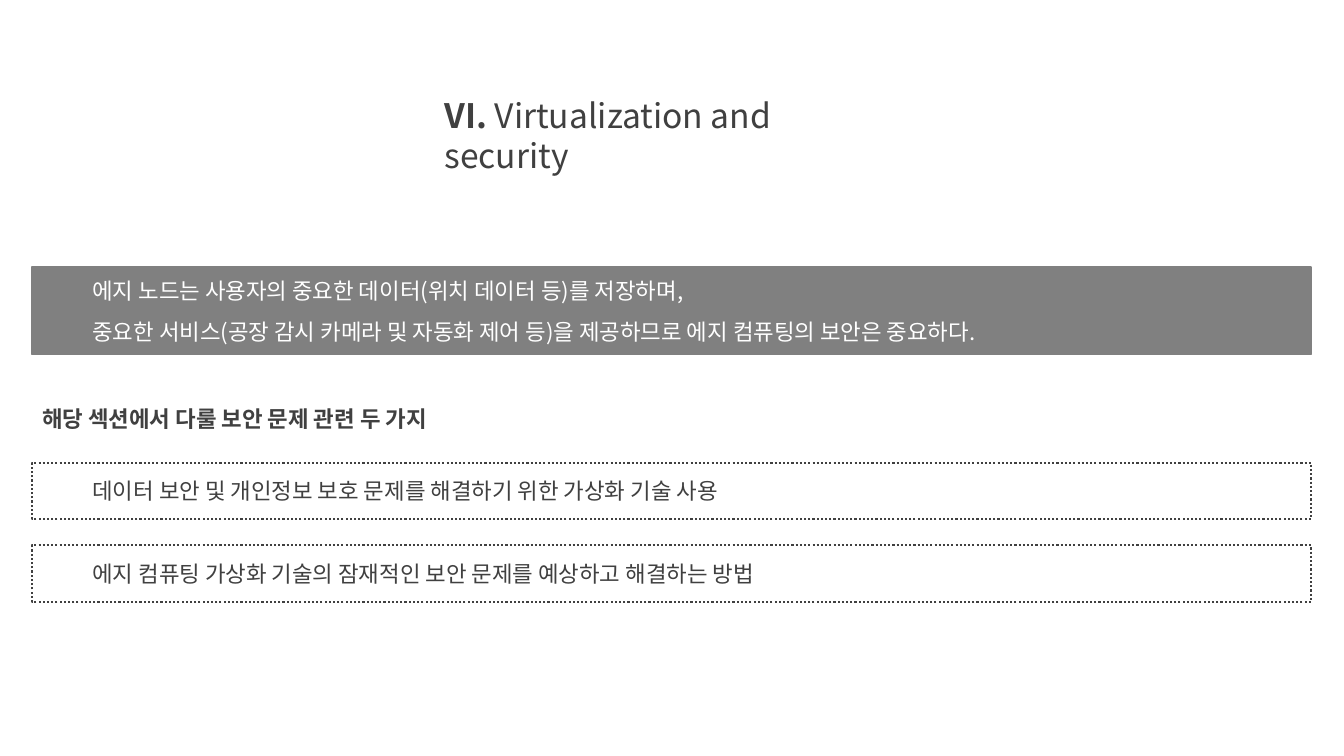
from lxml.etree import SubElement
from pptx import Presentation
from pptx.dml.color import RGBColor
from pptx.enum.dml import MSO_LINE
from pptx.enum.shapes import MSO_SHAPE
from pptx.enum.text import MSO_ANCHOR as Anchor, PP_ALIGN as Align
from pptx.oxml.ns import qn
from pptx.util import Pt

DARK = RGBColor(0x40, 0x40, 0x40)
GRAY = RGBColor(0x80, 0x80, 0x80)
WHITE = RGBColor(0xFF, 0xFF, 0xFF)
LEFT, WIDTH = 23, 913.5


class SlideWriter:
    """Draw styled text and boxes on the current slide."""

    font_name = "Noto Sans CJK KR"
    indent = 36

    def __init__(self, slide):
        self.slide = slide

    def style(self, paragraph, size, color, spacing, bold=None):
        paragraph.alignment = Align.LEFT
        paragraph.line_spacing = Pt(spacing)
        font = paragraph.font
        font.name, font.size, font.bold = self.font_name, Pt(size), bold
        font.color.rgb = color
        defaults = paragraph._p.pPr.find(qn("a:defRPr"))
        SubElement(defaults, qn("a:ea"), typeface=self.font_name)

    def text(self, left, top, width, height, runs, size, spacing, anchor):
        frame = self.slide.shapes.add_textbox(
            Pt(left), Pt(top), Pt(width), Pt(height)).text_frame
        frame.word_wrap = True
        frame.vertical_anchor = anchor
        paragraph = frame.paragraphs[0]
        for words, bold in runs:
            run = paragraph.add_run()
            run.text = words
            run.font.bold = bold
        self.style(paragraph, size, DARK, spacing)

    def box(self, top, height, lines, fill, outline, color, weight, dash=None):
        box = self.slide.shapes.add_shape(
            MSO_SHAPE.RECTANGLE, Pt(LEFT), Pt(top), Pt(WIDTH), Pt(height))
        box.shadow.inherit = False
        box.fill.solid()
        box.fill.fore_color.rgb = fill
        box.line.color.rgb = outline
        box.line.width = Pt(weight)
        if dash:
            box.line.dash_style = dash
        frame = box.text_frame
        frame.word_wrap = True
        frame.vertical_anchor = Anchor.MIDDLE
        for index, (words, spacing) in enumerate(lines):
            paragraph = frame.add_paragraph() if index else frame.paragraphs[0]
            paragraph.text = words
            paragraph.level = 1
            self.style(paragraph, 16, color, spacing)
            paragraph._p.pPr.set("marL", str(Pt(self.indent)))
            paragraph._p.pPr.set("indent", "0")


deck = Presentation()
deck.slide_width, deck.slide_height = Pt(960), Pt(540)
writer = SlideWriter(deck.slides.add_slide(deck.slide_layouts[6]))

writer.text(310.3, 78.5, 338, 36,
            [("VI. ", True), ("Virtualization and security", False)],
            24, 29, Anchor.MIDDLE)

importance = [
    ("에지 노드는 사용자의 중요한 데이터(위치 데이터 등)를 저장하며,", 19),
    ("중요한 서비스(공장 감시 카메라 및 자동화 제어 등)을 제공하므로 "
     "에지 컴퓨팅의 보안은 중요하다.", 29),
]
writer.box(190.8, 62.6, importance, GRAY, GRAY, WHITE, 1)

writer.text(LEFT, 285.8, 329, 26.6,
            [("해당 섹션에서 다룰 보안 문제 관련 두 가지", True)],
            16, 19, Anchor.TOP)

security_topics = [
    "데이터 보안 및 개인정보 보호 문제를 해결하기 위한 가상화 기술 사용",
    "에지 컴퓨팅 가상화 기술의 잠재적인 보안 문제를 예상하고 해결하는 방법",
]
for row, topic in enumerate(security_topics):
    writer.box(330.5 + row * 59, 40.5, [(topic, 19)], WHITE, DARK, DARK, 1.5,
               MSO_LINE.ROUND_DOT)

deck.save("out.pptx")
